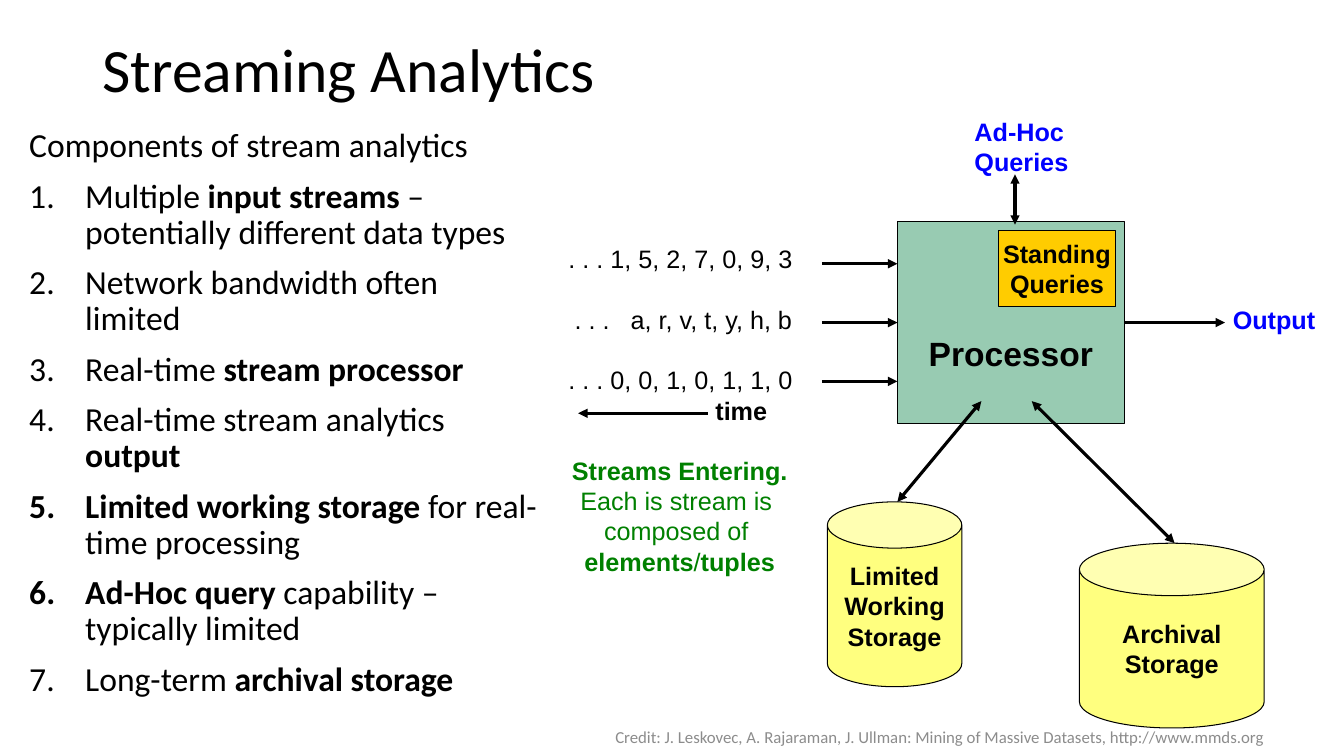
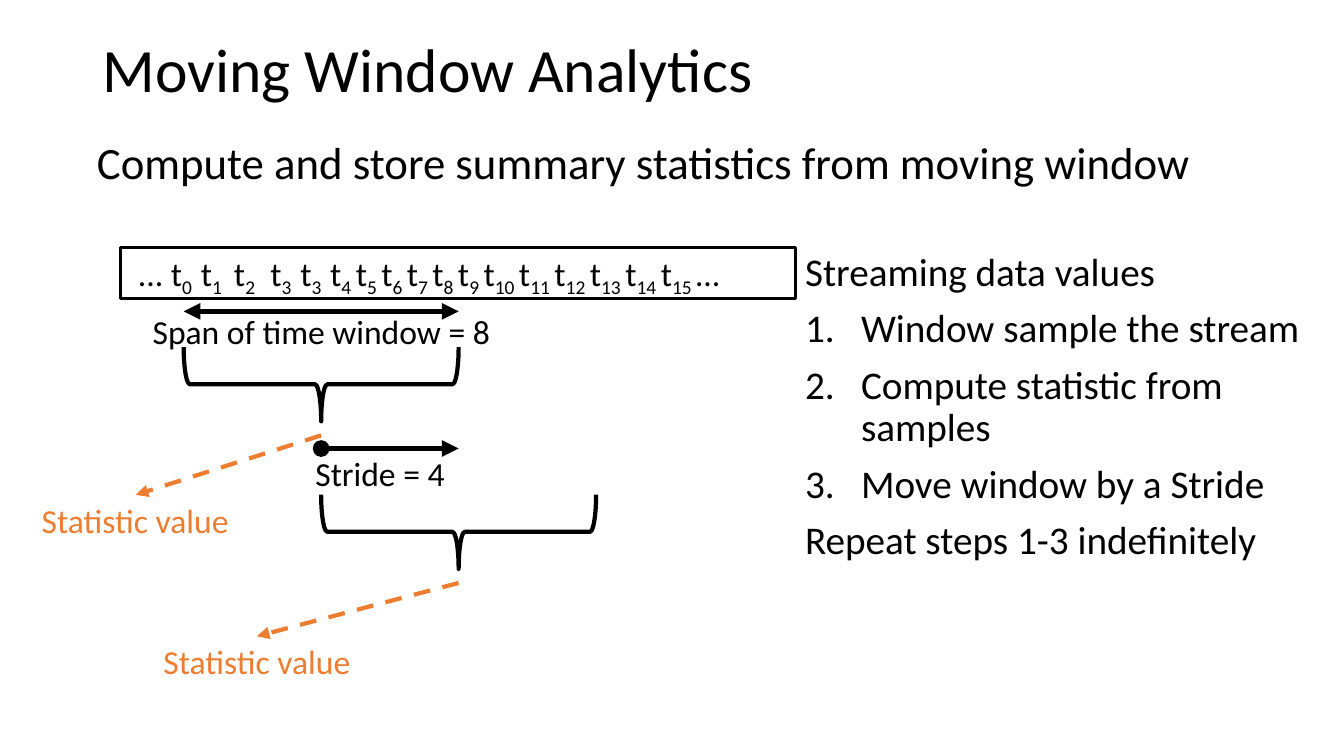
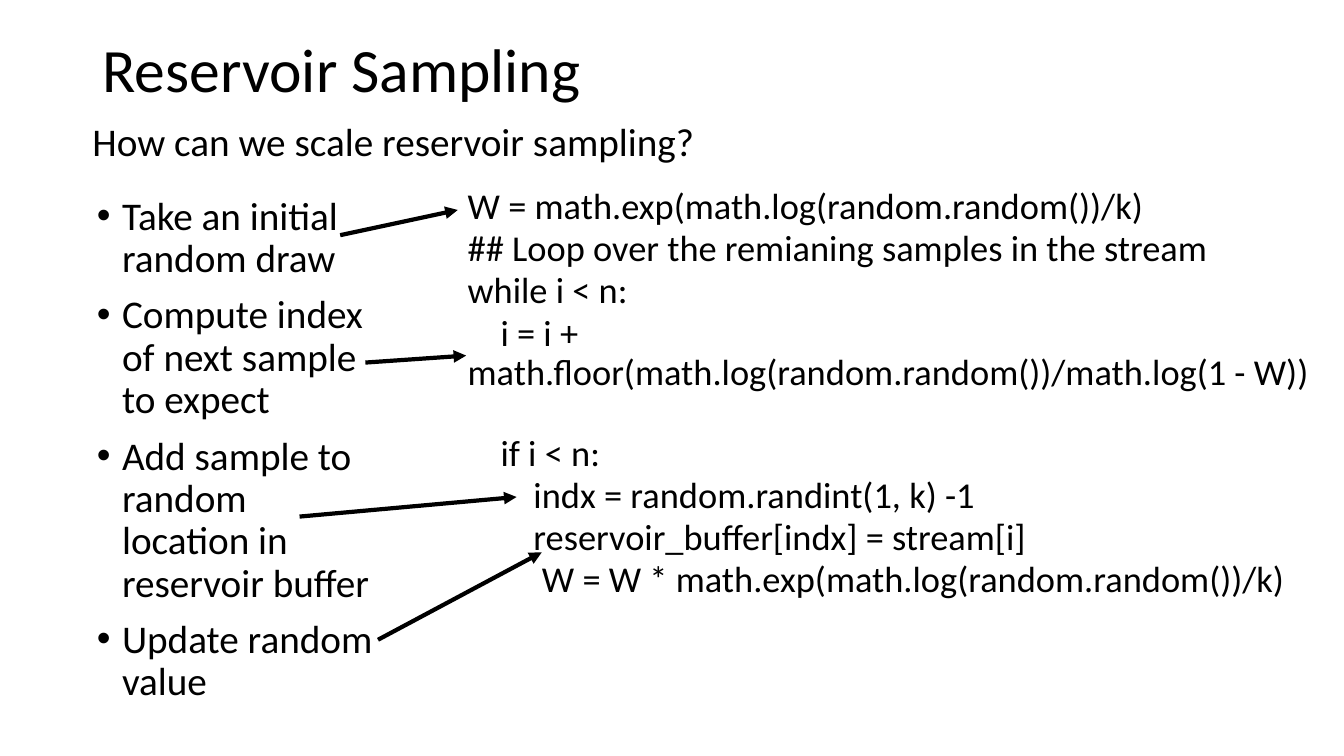
from pptx import Presentation
from pptx.dml.color import RGBColor
from pptx.enum import dml, shapes, text
from pptx.oxml.ns import qn
from pptx.util import Pt
from lxml import etree

BLACK = RGBColor(0, 0, 0)
GRAY = RGBColor(0x8C, 0x8C, 0x8C)
BLUE = RGBColor(0, 0, 0xFF)
GREEN = RGBColor(0, 0x80, 0)
TEAL = RGBColor(0x33, 0x99, 0x66)
YELLOW = RGBColor(0xFF, 0xFF, 0)
GOLD = RGBColor(0xFF, 0xCC, 0)
ORANGE = RGBColor(0xED, 0x7D, 0x31)

LEFT, MID = text.PP_ALIGN.LEFT, text.PP_ALIGN.CENTER
BOX = shapes.MSO_SHAPE.RECTANGLE
CAN = shapes.MSO_SHAPE.CAN
BRACE = shapes.MSO_SHAPE.RIGHT_BRACE
ARIAL = dict(font="Arial", size=18)
LABEL = dict(ARIAL, bold=True)
LIST = dict(lead=0.9, gap=10)
NUM, DOT = dict(mark="num", left=40, first=-40), dict(mark="dot", left=18, first=-18)

# Content: text between bars is bold; a pair adds paragraph options
PARTS = ["Components of stream analytics"] + [(t, NUM) for t in (
    "Multiple |input streams |– potentially different data types",
    "Network bandwidth often limited",
    "Real-time |stream processor",
    "Real-time stream analytics |output",
    "|Limited working storage| for real-time processing",
    "|Ad-Hoc query |capability – typically limited",
    "Long-term |archival storage")]
CREDIT = ("Credit: J. Leskovec, A. Rajaraman, J. Ullman: "
          "Mining of Massive Datasets, http://www.mmds.org")
FEEDS = [
    (". . . 1, 5, 2, 7, 0, 9, 3", dict(first=4.5)),
    (". . .   a, r, v, t, y, h, b", dict(first=9, gap=21.6)),
    (". . . 0, 0, 1, 0, 1, 1, 0", dict(first=4.5, gap=21.6)),
    ("|time", dict(first=109.5)),
    ("|Streams Entering.", dict(align=MID, color=GREEN, gap=21.6)),
    ("Each is stream is ", dict(align=MID, color=GREEN)),
    ("composed of ", dict(align=MID, color=GREEN)),
    ("|elements|/|tuples", dict(align=MID, color=GREEN))]
CANS = [((591, 358.5, 96, 132), 0.344, ["Limited", "Working", "Storage"],
         (701, 286.5, 641, 358.5)),
        ((771, 388, 132, 132), 0.284, ["Archival", "Storage"], (737, 286.5, 839, 388))]

# Here the text between bars is lowered
TICKS = "... t|0  |t|1 | t|2|  t|3  |t|3  |" + "".join(f"t|{n} |" for n in range(4, 16)) + "…"
STEPS = (["Streaming data values"] + [(t, NUM) for t in (
    "Window sample the stream", "Compute statistic from samples",
    "Move window by a Stride")] + ["Repeat steps 1-3 indefinitely"])
STATS = [((10, 353.5, 173, 36), (97, 353.5)), ((101.5, 454.5, 164, 36), (183.5, 454.5))]

TASKS = [(t, DOT) for t in (
    "Take an initial random draw", "Compute index of next sample to expect",
    "Add sample to random location in reservoir buffer", "Update random value")]
CODE = [
    "W = math.exp(math.log(random.random())/k)",
    "## Loop over the remianing samples in the stream",
    "while i < n:",
    ("i = i + math.floor(math.log(random.random())/math.log(1 - W))", dict(first=23.5)),
    ("if i < n:", dict(first=23.5, gap=29.8)),
    ("indx = random.randint(1, k) -1", dict(first=47)),
    ("reservoir_buffer[indx] = stream[i]", dict(first=47)),
    ("W = W * math.exp(math.log(random.random())/k)", dict(first=53))]
HINTS = [(243, 168, 327, 150), (261, 259, 333, 254),
         (214, 369, 369, 355), (270, 457, 387, 394.5)]


# Text
def add_run(para, words, size, font, color, bold=False, base=0):
    run = para.add_run()
    run.text = words
    run.font.size, run.font.name, run.font.bold = Pt(size), font, bold
    run.font.color.rgb = color
    if base:
        run.font._element.set("baseline", str(base))


def set_para(para, align, lead, gap, left, first, mark):
    para.alignment, para.line_spacing = align, lead
    para.space_before, para.space_after = Pt(gap), Pt(0)
    props = para._p.get_or_add_pPr()
    props.set("marL", str(Pt(left)))
    props.set("indent", str(Pt(first)))
    if mark == "num":
        etree.SubElement(props, qn("a:buFont"), typeface="+mj-lt")
        etree.SubElement(props, qn("a:buAutoNum"), type="arabicPeriod")
    elif mark == "dot":
        etree.SubElement(props, qn("a:buFont"), typeface="Arial")
        etree.SubElement(props, qn("a:buChar"), char="•")
    else:
        etree.SubElement(props, qn("a:buNone"))


def write(frame, lines, size=24, font="Calibri", color=BLACK, bold=False, align=LEFT,
          lead=1.0, gap=0, mid=False, wrap=True, low=False):
    frame.word_wrap, frame.auto_size = wrap, text.MSO_AUTO_SIZE.NONE
    frame.vertical_anchor = text.MSO_ANCHOR.MIDDLE if mid else text.MSO_ANCHOR.TOP
    for n, line in enumerate(lines):
        words, more = (line, {}) if isinstance(line, str) else line
        opts = dict(align=align, lead=lead, gap=gap, left=0, first=0, mark=None, color=color)
        opts.update(more)
        tint = opts.pop("color")
        para = frame.paragraphs[0] if n == 0 else frame.add_paragraph()
        set_para(para, **opts)
        for k, part in enumerate(words.split("|")):
            odd = k % 2 == 1
            if part:
                add_run(para, part, size, font, tint, bold or (odd and not low),
                        -25000 if odd and low else 0)


# Parts
def place(shape, area):
    shape.left, shape.top, shape.width, shape.height = map(Pt, area)


def add_text(slide, area, lines, **style):
    box = slide.shapes.add_textbox(*map(Pt, area))
    write(box.text_frame, lines, **style)
    return box


def add_form(slide, kind, area, fill=None, alpha=None, line=0.75):
    form = slide.shapes.add_shape(kind, *map(Pt, area))
    form.shadow.inherit = False
    form.line.color.rgb, form.line.width = BLACK, Pt(line)
    if fill is None:
        form.fill.background()
    else:
        form.fill.solid()
        form.fill.fore_color.rgb = fill
    if alpha:
        tint = form._element.spPr.find(qn("a:solidFill"))[0]
        etree.SubElement(tint, qn("a:alpha"), val=str(alpha * 1000))
    return form


def add_line(slide, ends, width=2.25, color=BLACK, head=None, dash=False):
    line = slide.shapes.add_connector(shapes.MSO_CONNECTOR.STRAIGHT, *map(Pt, ends))
    line.line.width, line.line.color.rgb = Pt(width), color
    if dash:
        line.line.dash_style = dml.MSO_LINE.DASH
    props = line._element.spPr
    stroke = props.find(qn("a:ln"))
    if head:
        etree.SubElement(stroke, qn("a:headEnd"), type=head)
    etree.SubElement(stroke, qn("a:tailEnd"), type="triangle")
    etree.SubElement(props, qn("a:effectLst"))
    return line


def add_slide(deck, title, area, lines, size):
    slide = deck.slides.add_slide(deck.slide_layouts[1])
    head, body = slide.placeholders
    place(head, (66, 0, 828, 104))
    write(head.text_frame, [title], size=44, lead=0.9, mid=True)
    place(body, area)
    write(body.text_frame, lines, size=size, **LIST)
    return slide


# Slides
def add_stream(deck):
    slide = add_slide(deck, "Streaming Analytics", (13.7, 88.4, 379.4, 443.5), PARTS, 24)
    add_text(slide, (386.5, 516, 570, 21), [CREDIT], size=12, color=GRAY, align=MID, mid=True)

    proc = add_form(slide, BOX, (641, 158.4, 162, 144), TEAL, 50)
    write(proc.text_frame, ["Processor"], size=24, font="Arial", bold=True,
          align=MID, mid=True, wrap=False)
    proc.text_frame.margin_top = Pt(46.5)

    for area, lid, words, ends in CANS:
        can = add_form(slide, CAN, area, YELLOW, 50)
        can.adjustments[0] = lid
        write(can.text_frame, words, align=MID, mid=True, wrap=False, **LABEL)
        add_line(slide, ends, head="triangle")

    # Streams in, time axis, output
    feeds = [add_line(slide, (587, y, 641, y)) for y in (188.4, 230.4, 272.4)]
    feeds[1].end_connect(proc, 1)
    box = add_text(slide, (397.5, 170.5, 176, 247), FEEDS, **ARIAL)
    box.text_frame.margin_left = box.text_frame.margin_right = Pt(4)
    add_line(slide, (505.5, 295.2, 413, 295.2))
    add_line(slide, (803, 230.4, 875, 230.4)).begin_connect(proc, 3)
    add_text(slide, (873.5, 214, 74, 29), ["Output"], color=BLUE, wrap=False, **LABEL)

    # Queries
    add_text(slide, (689, 79.3, 82, 51), ["Ad-Hoc", "Queries"], color=BLUE, wrap=False, **LABEL)
    add_line(slide, (725, 124.5, 725, 160.5), head="triangle")
    stand = add_form(slide, BOX, (713, 164.8, 84, 54), GOLD)
    write(stand.text_frame, ["Standing", "Queries"], align=MID, mid=True, wrap=False, **LABEL)


def add_window(deck):
    slide = add_slide(deck, "Moving Window Analytics", (62, 97, 828, 55),
                      ["Compute and store summary statistics from moving window"], 32)

    # Row of time steps
    row = add_form(slide, BOX, (86, 177, 482, 36), line=2)
    write(row.text_frame, [(TICKS, dict(first=5.4))], low=True)

    # Each window moves on by one stride
    stride, drop = 98.2, 105.4
    start, span = 131.2, 2 * stride
    tip = start + stride
    for n, (area, end) in enumerate(STATS):
        x, y = tip + n * stride, 274.5 + n * drop
        brace = add_form(slide, BRACE, (x - 26.5, y - span / 2, 53, span), line=3)
        brace.rotation = 90
        add_text(slide, area, ["Statistic value"], color=ORANGE, align=MID)
        add_line(slide, (x, 311 + n * drop) + end, 3, ORANGE, dash=True)
    add_line(slide, (start, 222.4, start + span, 222.4), 4, head="triangle")
    add_text(slide, (97, 218.3, 265, 36), ["Span of time window = 8"], align=MID)
    add_line(slide, (tip, 320.4, tip + stride, 320.4), 4, head="oval")
    add_text(slide, (189.5, 320, 164, 36), ["Stride = 4"], align=MID)
    add_text(slide, (568, 177, 382, 339), STEPS, size=28, **LIST)


def add_sample(deck):
    slide = add_slide(deck, "Reservoir Sampling", (62, 136.7, 212, 382), TASKS, 28)
    add_text(slide, (59, 86.4, 881, 35), ["How can we scale reservoir sampling?"],
             size=28, lead=0.8, gap=10)
    add_text(slide, (327, 131, 623, 398), CODE, size=26, lead=0.9, gap=2)
    for ends in HINTS:
        add_line(slide, ends, 3)


def main():
    deck = Presentation()
    deck.slide_width, deck.slide_height = Pt(960), Pt(540)
    add_stream(deck)
    add_window(deck)
    add_sample(deck)
    deck.save("out.pptx")


if __name__ == "__main__":
    main()
